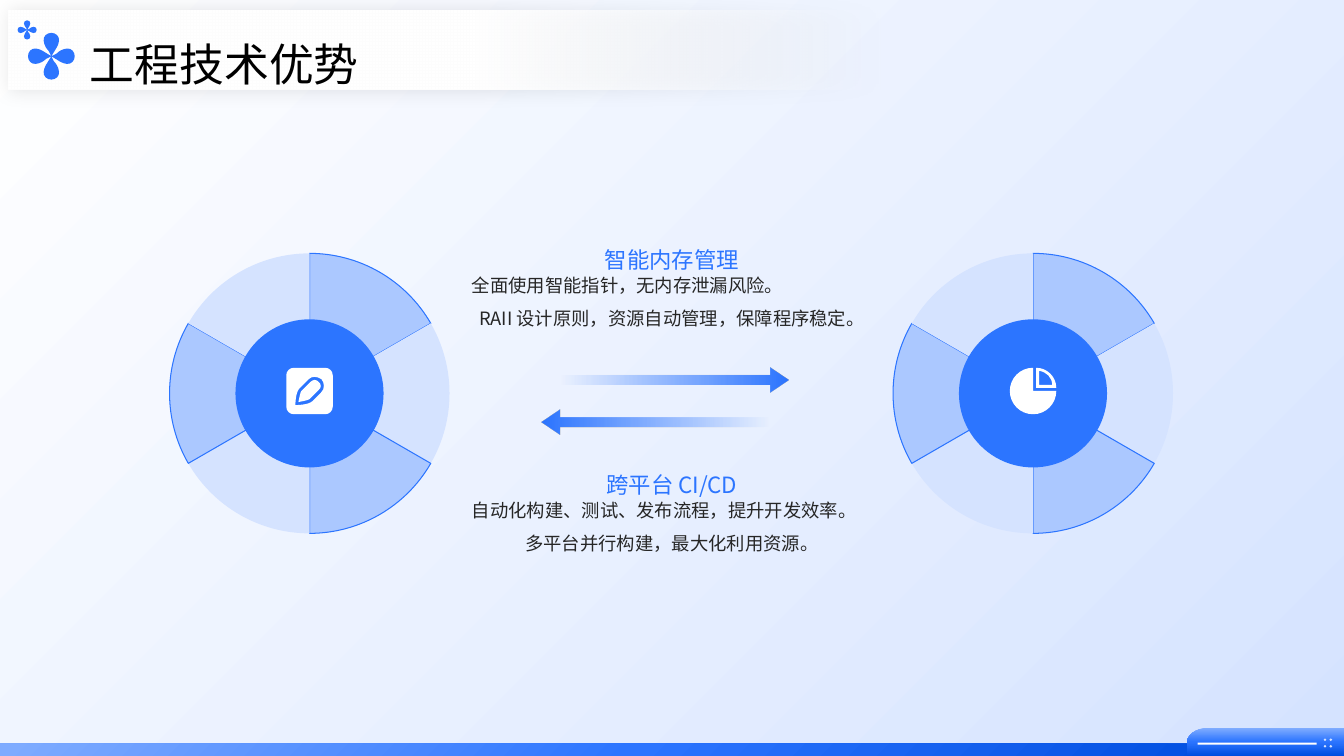
"""Build the engineering strengths slide with two wheels and exchange arrows."""
from math import cos, radians, sin, tan

from lxml.etree import SubElement
from pptx import Presentation
from pptx.dml.color import RGBColor
from pptx.enum.shapes import MSO_SHAPE as Preset
from pptx.enum.text import MSO_ANCHOR as Anchor, MSO_AUTO_SIZE as AutoSize, PP_ALIGN as Align
from pptx.oxml.ns import qn
from pptx.util import Pt

BLUE = RGBColor(0x2C, 0x75, 0xFF)
DEEP = RGBColor(0x00, 0x4E, 0xE0)
SKY = RGBColor(0x7E, 0xAB, 0xFF)
TAB_SKY = RGBColor(0x80, 0xAC, 0xFF)
MID = RGBColor(0xAB, 0xC8, 0xFF)
PALE = RGBColor(0xD5, 0xE3, 0xFF)
WHITE = RGBColor(0xFF, 0xFF, 0xFF)
BLACK = RGBColor(0x00, 0x00, 0x00)
INK = RGBColor(0x26, 0x26, 0x26)

PETAL = [(0, 0), (1.8, 3.6), (2.5, 4.3, 3.6, 5.8, 4, 6.5), (5.6, 9.4, 6.3, 13, 4.1, 15.1),
         (1.9, 17.2, -1.9, 17.2, -4.1, 15.1), (-6.3, 13, -5.6, 9.4, -4, 6.5)]
PENCIL = [
    [(3.6, -7.9), (5, -7.9, 5.8, -7.2, 6.5, -6.5), (8.6, -5, 8.6, -2.2, 6.5, -0.7),
     (0, 5.8), (-0.7, 6.5, -4.3, 7.2, -7.9, 7.9), (-7.2, 4.3, -6.5, 0.7, -5.8, 0),
     (0.7, -6.5), (1.4, -7.2, 2.9, -7.9, 3.6, -7.9)],
    [(3.6, -10.1), (2, -10.1, 0.6, -9.6, -0.5, -8.5), (-7.2, -1.8),
     (-10.1, 1, -10.1, 10.1, -10.1, 10.1), (-10.1, 10.1, -0.7, 10.1, 2.2, 7.2),
     (8.6, 0.7), (10.8, -1.4, 10.8, -5.8, 8.6, -8.4), (7.2, -9.4, 5.4, -10.1, 3.6, -10.1)],
    [(-11.2, -16.6), (11.2, -16.6), (14.2, -16.6, 16.6, -14.2, 16.6, -11.2),
     (16.6, 11.2), (16.6, 14.2, 14.2, 16.6, 11.2, 16.6),
     (-11.2, 16.6), (-14.2, 16.6, -16.6, 14.2, -16.6, 11.2),
     (-16.6, -11.2), (-16.6, -14.2, -14.2, -16.6, -11.2, -16.6)],
]
PIE = [
    [(4.3, -14.4), (4.3, -4.3), (13.7, -4.3), (13.7, -9.6, 9.6, -13.7, 4.3, -14.4)],
    [(2.2, -16.6), (10.1, -16.6, 16.6, -10.1, 16.6, -2.2), (2.2, -2.2)],
    [(0, -16.6), (0, 0), (16.6, 0), (16.6, 9.2, 9.2, 16.6, 0, 16.6),
     (-9.2, 16.6, -16.6, 9.2, -16.6, 0), (-16.6, -9.2, -9.2, -16.6, 0, -16.6)],
]


def pairs(step):
    return list(zip(step[::2], step[1::2]))


def arc(x, y, radius, start, sweep):
    a, b = radians(start), radians(start + sweep)
    pull = 4 / 3 * tan(radians(sweep) / 4)
    first = (x + radius * cos(a), y + radius * sin(a))
    last = (x + radius * cos(b), y + radius * sin(b))
    return [first, (first[0] - radius * pull * sin(a), first[1] + radius * pull * cos(a),
                    last[0] + radius * pull * sin(b), last[1] - radius * pull * cos(b), *last)]


def circle(x, y, radius):
    quarters = [arc(x, y, radius, start, 90) for start in range(0, 360, 90)]
    return [quarters[0][0]] + [quarter[1] for quarter in quarters]


class Deck:
    font = "Noto Sans CJK SC"

    def __init__(self):
        self.show = Presentation()
        self.show.slide_width, self.show.slide_height = Pt(960), Pt(540)
        self.slide = self.show.slides.add_slide(self.show.slide_layouts[4])
        self.shapes = self.slide.shapes

    def style(self, shape, fill, outline=None):
        shape.shadow.inherit = False
        if outline is None:
            shape.line.fill.background()
        else:
            shape.line.color.rgb = outline
            shape.line.width = Pt(0.75)
        if isinstance(fill, RGBColor):
            shape.fill.solid()
            shape.fill.fore_color.rgb = fill
        else:
            self.gradient(shape, *fill)
        return shape

    def gradient(self, shape, stops, angle):
        shape.fill.background()
        props = shape._element.spPr
        blank = props.find(qn("a:noFill"))
        grad = SubElement(props, qn("a:gradFill"), rotWithShape="1")
        props.replace(blank, grad)
        stop_list = SubElement(grad, qn("a:gsLst"))
        for position, color, opacity in stops:
            stop = SubElement(stop_list, qn("a:gs"), pos=str(position * 1000))
            tone = SubElement(stop, qn("a:srgbClr"), val=str(color))
            if opacity < 100:
                SubElement(tone, qn("a:alpha"), val=str(opacity * 1000))
        if angle is None:
            radial = SubElement(grad, qn("a:path"), path="circle")
            SubElement(radial, qn("a:fillToRect"), r="100000", b="100000")
        else:
            SubElement(grad, qn("a:lin"), ang=str(angle * 60000), scaled="0")

    def preset(self, kind, x, y, width, height, fill):
        shape = self.shapes.add_shape(kind, Pt(x), Pt(y), Pt(width), Pt(height))
        return self.style(shape, fill)

    def outline(self, contours, fill, line=None, origin=(0, 0), scale=1, parent=None):
        builder = None
        for contour in contours:
            points = [(Pt(origin[0] + x * scale), Pt(origin[1] + y * scale))
                      for step in contour for x, y in pairs(step)]
            if builder is None:
                builder = (parent or self.shapes).build_freeform(*points[0])
            else:
                builder.move_to(*points[0])
            builder.add_line_segments(points[1:], close=True)
        shape = builder.convert_to_shape()
        segments = iter(list(shape._element.iter(qn("a:lnTo"))))
        for step in (step for contour in contours for step in contour[1:]):
            drawn = [next(segments) for _ in pairs(step)]
            if len(drawn) == 3:
                track = drawn[0].getparent()
                curve = SubElement(track, qn("a:cubicBezTo"))
                track.replace(drawn[0], curve)
                for segment in drawn:
                    curve.append(segment[0])
                for segment in drawn[1:]:
                    track.remove(segment)
        return self.style(shape, fill, line)

    def glow(self, shape, color, opacity, blur):
        effects = shape._element.spPr.find(qn("a:effectLst"))
        shadow = SubElement(effects, qn("a:outerShdw"), blurRad=str(Pt(blur)), dist="0",
                            algn="ctr", rotWithShape="0")
        tone = SubElement(shadow, qn("a:srgbClr"), val=str(color))
        SubElement(tone, qn("a:alpha"), val=str(opacity * 1000))

    def wheel(self, x, y, icon):
        ring = self.shapes.add_group_shape().shapes
        for i in range(6):
            fill, line = ((MID, BLUE), (PALE, None))[i % 2]
            sector = arc(x, y, 100, 60 * i - 90, 60) + [(x, y)]
            self.outline([sector], fill, line, parent=ring)
        self.preset(Preset.OVAL, x - 52.9, y - 52.9, 105.8, 105.8, BLUE)
        self.outline(icon, WHITE, origin=(x, y - 1.7))

    def clover(self, x, y, scale):
        petals = [PETAL]
        for _ in range(3):
            petals.append([tuple(v for a, b in pairs(step) for v in (-b, a))
                           for step in petals[-1]])
        self.outline(petals, BLUE, origin=(x, y), scale=scale)

    def text(self, idx, box, lines, size, color, anchor):
        holder = next(p for p in self.slide.placeholders if p.placeholder_format.idx == idx)
        self.shapes._spTree.append(holder._element)
        holder.left, holder.top, holder.width, holder.height = map(Pt, box)
        frame = holder.text_frame
        frame.word_wrap, frame.auto_size = True, AutoSize.NONE
        frame.vertical_anchor = anchor
        frame.margin_left = frame.margin_right = frame.margin_top = frame.margin_bottom = 0
        for i, (words, align, spacing) in enumerate(lines):
            paragraph = frame.add_paragraph() if i else frame.paragraphs[0]
            props = paragraph._p.get_or_add_pPr()
            props.set("marL", "0")
            props.set("indent", "0")
            SubElement(props, qn("a:buNone"))
            paragraph.alignment, paragraph.line_spacing = align, spacing
            paragraph.space_before = Pt(0)
            run = paragraph.add_run()
            run.text = words
            run.font.size, run.font.bold, run.font.name = Pt(size), False, self.font
            run.font.color.rgb = color
            SubElement(run._r.get_or_add_rPr(), qn("a:ea"), typeface=self.font)


def main():
    deck = Deck()
    deck.preset(Preset.RECTANGLE, 0, 0, 960, 540, ([(0, WHITE, 100), (100, PALE, 100)], 45))
    deck.outline([[(0, 531), (879, 531), (882, 531, 885, 533.5, 885, 536.4), (883.5, 540), (0, 540)]],
                 ([(1, SKY, 100), (51, BLUE, 100), (100, DEEP, 100)], None))
    deck.outline([[(862.6, 520), (960, 520), (960, 540), (847.6, 540), (847.6, 531.4),
                   (847.6, 525, 854.6, 520, 862.6, 520)]],
                 ([(0, TAB_SKY, 100), (49, BLUE, 100), (100, DEEP, 100)], 90))
    deck.preset(Preset.RECTANGLE, 855.4, 530.5, 85, 1.4, WHITE)
    deck.outline([circle(x, y, 1) for x in (946.4, 950.6) for y in (528.4, 533.1)], PALE)

    for x, icon in ((221.1, PENCIL), (737.9, PIE)):
        deck.wheel(x, 281, icon)

    for kind, y, angle in ((Preset.RIGHT_ARROW, 262.4, 0), (Preset.LEFT_ARROW, 292.4, 180)):
        arrow = deck.preset(kind, 386.6, y, 176.4, 18, ([(8, BLUE, 0), (100, BLUE, 100)], angle))
        arrow.adjustments[0], arrow.adjustments[1] = 0.39, 0.75

    topics = [("智能内存管理", "全面使用智能指针，无内存泄漏风险。", "RAII 设计原则，资源自动管理，保障程序稳定。"),
              ("跨平台 CI/CD", "自动化构建、测试、发布流程，提升开发效率。", "多平台并行构建，最大化利用资源。")]
    for i, (heading, first, second) in enumerate(topics):
        top = 156.3 + 160.6 * i
        deck.text(1 + 2 * i, (337, top, 285.8, 39), [(heading, Align.CENTER, 1.5)],
                  16, BLUE, Anchor.BOTTOM)
        deck.text(2 + 2 * i, (337, top + 39.5, 285.8, 59),
                  [(first, Align.LEFT, 1.0), (second, Align.CENTER, 1.5)], 13.1, INK, Anchor.TOP)

    banner = deck.preset(Preset.RECTANGLE, 6.2, 7.2, 831.6, 57,
                         ([(25, WHITE, 0), (60, WHITE, 100)], 180))
    deck.glow(banner, BLACK, 10, 13)
    deck.text(0, (64.2, 18.8, 612.7, 34), [("工程技术优势", Align.LEFT, 1.5)], 32, BLACK, Anchor.MIDDLE)
    deck.clover(36.7, 40.2, 1)
    deck.clover(19.4, 21.4, 0.41)
    deck.show.save("out.pptx")


if __name__ == "__main__":
    main()
